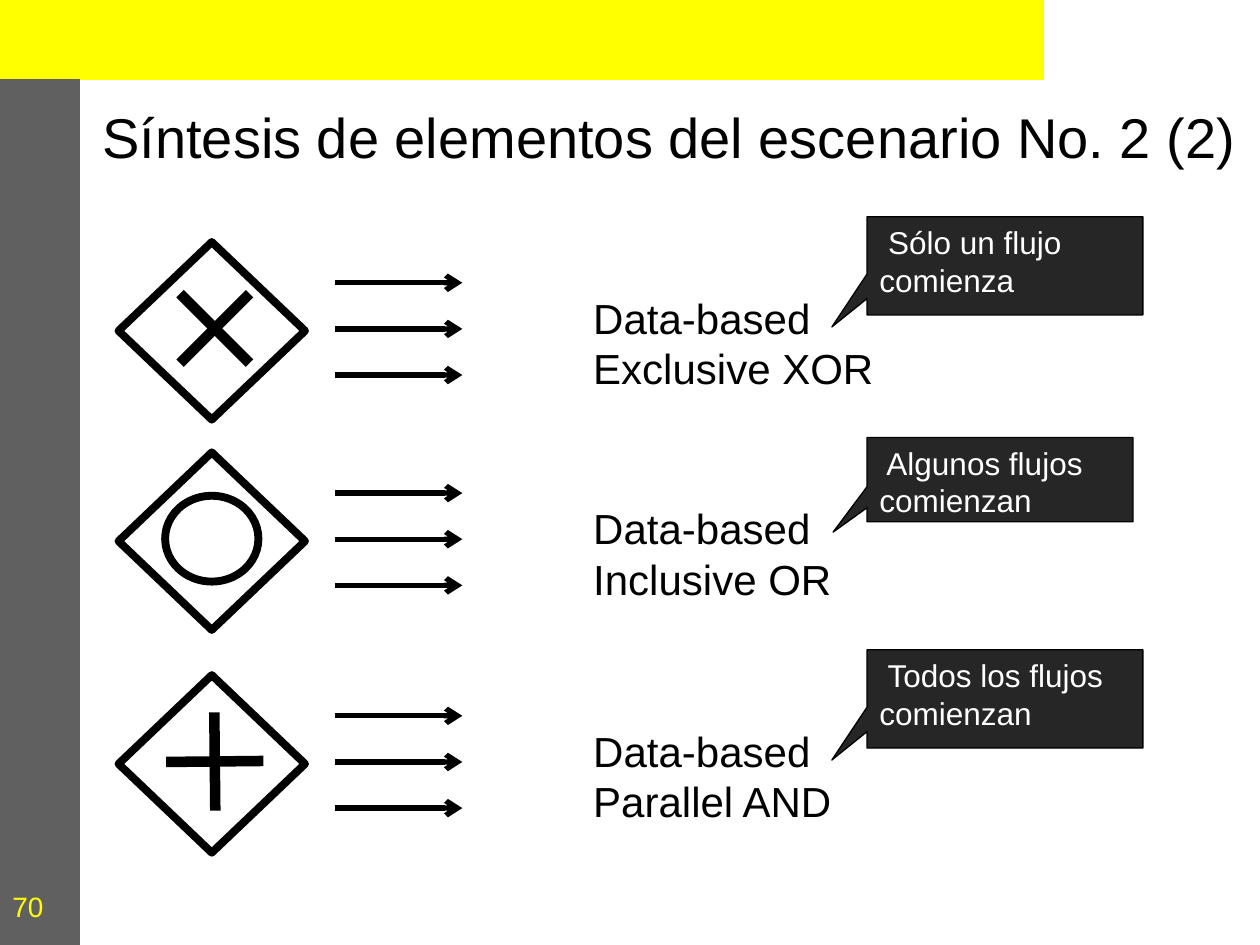
from dataclasses import dataclass

from lxml.etree import SubElement
from pptx import Presentation
from pptx.dml.color import RGBColor as Rgb
from pptx.enum.shapes import MSO_CONNECTOR as Connector, MSO_SHAPE as Shape
from pptx.enum.text import MSO_ANCHOR as Anchor, MSO_AUTO_SIZE as AutoSize, PP_ALIGN as Align
from pptx.oxml.ns import qn
from pptx.util import Cm, Pt


@dataclass(frozen=True)
class Theme:
    font: str = "Arial"
    ink: str = "000000"
    paper: str = "FFFFFF"
    accent: str = "FFFF00"
    sidebar: str = "606060"
    callout: str = "262626"
    title_size: int = 32
    label_size: int = 24
    callout_size: int = 18
    number_size: int = 16
    hairline: float = 0.75
    flow_line: float = 3
    gateway_line: float = 4.5
    mark_line: float = 6


THEME = Theme()
TITLE = "Síntesis de elementos del escenario No. 2 (2)"
PAGE_NUMBER = "70"

# Lengths are centimetres; a callout is (text, offset from row top, width, height).
GATEWAYS = [
    {"top": 4.88, "mark": "cross", "label": "Data-based Exclusive XOR",
     "callout": (" Sólo un flujo comienza", -0.51, 5.56, 1.98)},
    {"top": 9.12, "mark": "circle", "label": "Data-based Inclusive OR",
     "callout": (" Algunos flujos comienzan", -0.3, 5.36, 1.7)},
    {"top": 13.61, "mark": "plus", "label": "Data-based Parallel AND",
     "callout": (" Todos los flujos comienzan", -0.51, 5.56, 1.98)},
]
# Each stroke runs from one point to another around the centre of the mark.
STROKES = {
    "cross": [(-0.7, -0.7, 0.7, 0.7), (0.7, -0.7, -0.7, 0.7)],
    "plus": [(-0.98, 0.01, 0.98, -0.01), (-0.01, -0.99, 0.01, 0.99)],
}

BAND = 1.6
SLIDE_WIDTH, SLIDE_HEIGHT = 25.4, 19.05
DIAMOND_LEFT, DIAMOND_WIDTH, DIAMOND_HEIGHT = 2.39, 3.76, 3.58
MARK_X, MARK_DROP = 4.33, 1.74
CIRCLE_WIDTH, CIRCLE_HEIGHT = 1.88, 1.73
FLOW_LEFT, FLOW_RIGHT, FLOW_DROP, FLOW_STEP, FLOW_COUNT = 6.76, 9.32, 0.82, 0.93, 3
LABEL_LEFT, LABEL_DROP, LABEL_WIDTH, LABEL_HEIGHT = 11.71, 0.89, 7.09, 2.29
CALLOUT_LEFT, CALLOUT_POINTER = 17.48, (-0.628, 0.623)


def add_figure(shapes, kind, box, fill, line, width):
    figure = shapes.add_shape(kind, *map(Cm, box))
    figure.shadow.inherit = False
    if fill:
        figure.fill.solid()
        figure.fill.fore_color.rgb = Rgb.from_string(fill)
    else:
        figure.fill.background()
    figure.line.color.rgb = Rgb.from_string(line)
    figure.line.width = Pt(width)
    return figure


def add_line(shapes, ends, width, arrow=False):
    line = shapes.add_connector(Connector.STRAIGHT, *map(Cm, ends))
    line.line.color.rgb = Rgb.from_string(THEME.ink)
    line.line.width = Pt(width)
    if arrow:
        SubElement(line.line._get_or_add_ln(), qn("a:tailEnd"), type="arrow")
    SubElement(line._element.spPr, qn("a:effectLst"))


def write(shape, text, size, color, align=Align.LEFT, anchor=Anchor.TOP):
    frame = shape.text_frame
    frame.word_wrap = True
    frame.vertical_anchor = anchor
    para = frame.paragraphs[0]
    para.alignment = align
    span = para.add_run()
    span.text = text
    span.font.name = THEME.font
    span.font.size = Pt(size)
    span.font.color.rgb = Rgb.from_string(color)
    return frame


def add_text(shapes, box, *style, **placing):
    return write(shapes.add_textbox(*map(Cm, box)), *style, **placing)


def add_frame(shapes):
    """Draw the bands, page number and title around the content."""
    bands = [
        ((0, 0, 21.03, BAND), THEME.accent),
        ((0, BAND, BAND, SLIDE_HEIGHT - BAND), THEME.sidebar),
    ]
    for box, color in bands:
        add_figure(shapes, Shape.RECTANGLE, box, color, color, THEME.hairline)
    add_text(shapes, (0, 17.48, BAND, 1.57), PAGE_NUMBER, THEME.number_size,
             THEME.accent, anchor=Anchor.MIDDLE)
    title = add_text(shapes, (BAND, 1.7, SLIDE_WIDTH - BAND, 2.08), TITLE, THEME.title_size,
                     THEME.ink, align=Align.CENTER, anchor=Anchor.MIDDLE)
    title.margin_left = title.margin_right = 0


def add_symbol(shapes, top, mark):
    """Draw a gateway diamond with its inner mark as one group."""
    symbol = shapes.add_group_shape().shapes
    add_figure(symbol, Shape.FLOWCHART_DECISION,
               (DIAMOND_LEFT, top, DIAMOND_WIDTH, DIAMOND_HEIGHT),
               None, THEME.ink, THEME.gateway_line)
    middle = top + MARK_DROP
    if mark == "circle":
        left = DIAMOND_LEFT + (DIAMOND_WIDTH - CIRCLE_WIDTH) / 2
        add_figure(symbol, Shape.OVAL,
                   (left, middle - CIRCLE_HEIGHT / 2, CIRCLE_WIDTH, CIRCLE_HEIGHT),
                   THEME.paper, THEME.ink, THEME.gateway_line)
    for x1, y1, x2, y2 in STROKES.get(mark, []):
        add_line(symbol, (MARK_X + x1, middle + y1, MARK_X + x2, middle + y2), THEME.mark_line)


def add_gateway(shapes, top, mark, label, callout):
    frame = add_text(shapes, (LABEL_LEFT, top + LABEL_DROP, LABEL_WIDTH, LABEL_HEIGHT),
                     label, THEME.label_size, THEME.ink)
    frame.auto_size = AutoSize.SHAPE_TO_FIT_TEXT
    add_symbol(shapes, top, mark)
    for index in range(FLOW_COUNT):
        y = top + FLOW_DROP + index * FLOW_STEP
        add_line(shapes, (FLOW_LEFT, y, FLOW_RIGHT, y), THEME.flow_line, arrow=True)
    text, offset, width, height = callout
    bubble = add_figure(shapes, Shape.RECTANGULAR_CALLOUT,
                        (CALLOUT_LEFT, top + offset, width, height),
                        THEME.callout, THEME.ink, THEME.hairline)
    for index, value in enumerate(CALLOUT_POINTER):
        bubble.adjustments[index] = value
    write(bubble, text, THEME.callout_size, THEME.paper)


def main():
    deck = Presentation()
    deck.slide_width, deck.slide_height = Cm(SLIDE_WIDTH), Cm(SLIDE_HEIGHT)
    page = deck.slides.add_slide(deck.slide_layouts[6])
    add_frame(page.shapes)
    for gateway in GATEWAYS:
        add_gateway(page.shapes, **gateway)
    deck.save("out.pptx")


if __name__ == "__main__":
    main()
